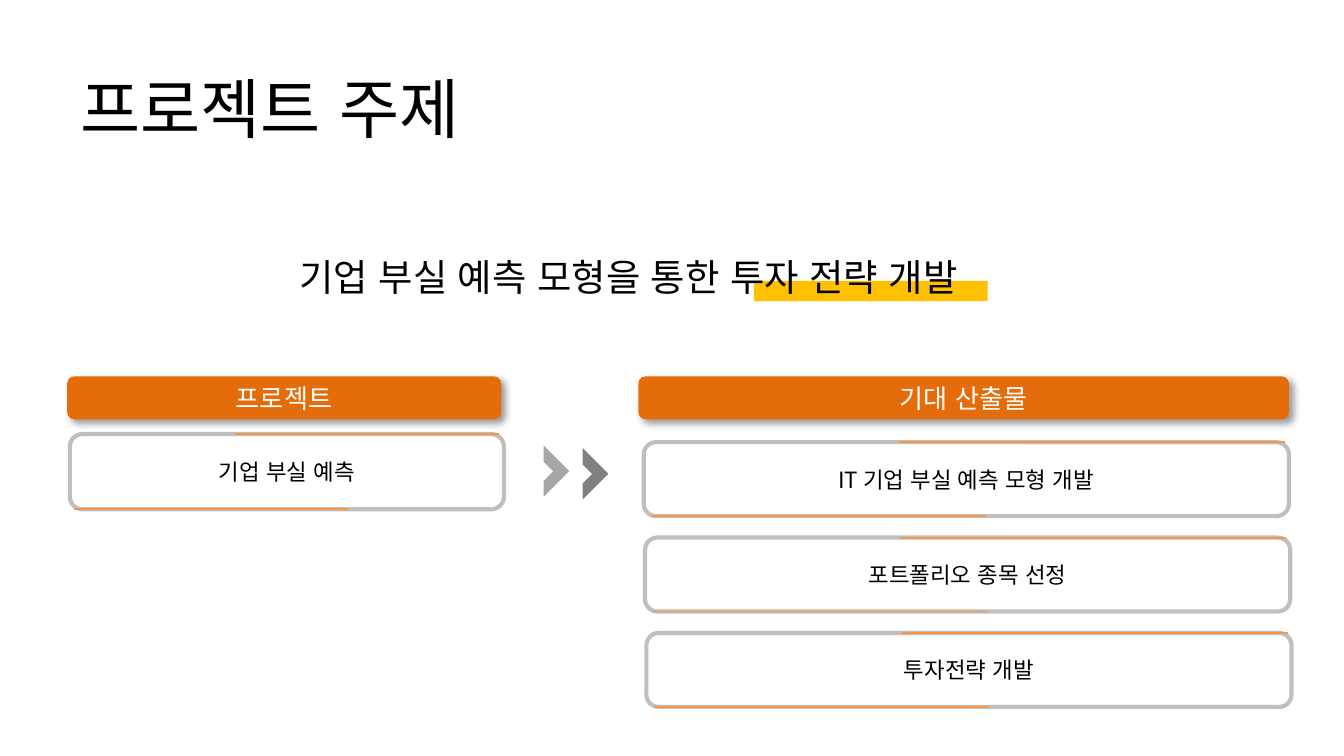
from dataclasses import dataclass

from lxml import etree
from pptx import Presentation
from pptx.dml.color import RGBColor
from pptx.enum.lang import MSO_LANGUAGE_ID
from pptx.enum.shapes import MSO_CONNECTOR, MSO_SHAPE
from pptx.enum.text import MSO_ANCHOR, MSO_AUTO_SIZE, PP_ALIGN
from pptx.oxml.ns import qn
from pptx.util import Inches, Pt

RECT, ROUND, HALF = MSO_SHAPE.RECTANGLE, MSO_SHAPE.ROUNDED_RECTANGLE, MSO_SHAPE.HALF_FRAME
STRAIGHT = MSO_CONNECTOR.STRAIGHT
LEFT, CENTER = PP_ALIGN.LEFT, PP_ALIGN.CENTER
TOP, MIDDLE = MSO_ANCHOR.TOP, MSO_ANCHOR.MIDDLE
FIT = MSO_AUTO_SIZE.SHAPE_TO_FIT_TEXT
KOREAN = MSO_LANGUAGE_ID.KOREAN


@dataclass(frozen=True)
class Theme:
    font: str = "Noto Sans CJK KR"
    ink: str = "000000"
    paper: str = "FFFFFF"
    mark: str = "FFC000"
    head: str = "E46C0A"
    edge: str = "BFBFBF"
    accent: str = "F79646"
    pale: str = "A6A6A6"
    dark: str = "808080"
    title_size: int = 35
    lead_size: int = 20
    head_size: int = 14
    card_size: int = 12


@dataclass(frozen=True)
class Box:
    x: float
    y: float
    w: float
    h: float

    def lengths(self) -> tuple:
        return tuple(Inches(v) for v in (self.x, self.y, self.w, self.h))


@dataclass(frozen=True)
class Card:
    """A framed label; top and base are accent spans measured from its left."""
    text: str
    box: Box
    top: tuple[float, float]
    base: tuple[float, float]


THEME = Theme()
HEADS = [("프로젝트", Box(0.5, 2.8, 3.23, 0.32)),
         ("기대 산출물", Box(4.75, 2.8, 4.84, 0.32))]
GOALS = ["IT 기업 부실 예측 모형 개발", "포트폴리오 종목 선정", "투자전략 개발"]
CARDS = [Card("기업 부실 예측", Box(0.52, 3.23, 3.23, 0.56), (1.23, 3.19), (0.03, 2.07))]
CARDS += [Card(goal, Box(4.79 + 0.01 * i, 3.29 + 0.71 * i, 4.8, 0.55), (1.9, 4.77), (0.06, 2.55))
          for i, goal in enumerate(GOALS)]
CHEVRONS = [(Box(3.91, 3.37, 0.27, 0.27), THEME.pale),
            (Box(4.2, 3.39, 0.27, 0.27), THEME.dark)]


def write(shape, text: str, *, size: int, color: str = THEME.ink,
          align=LEFT, anchor=MIDDLE) -> None:
    frame = shape.text_frame
    frame.word_wrap = True
    frame.vertical_anchor = anchor
    para = frame.paragraphs[0]
    para.alignment = align
    run = para.add_run()
    run.text = text
    font = run.font
    font.name = THEME.font
    font.size = Pt(size)
    font.color.rgb = RGBColor.from_string(color)
    font.language_id = KOREAN
    font._element.set("kern", "0")
    etree.SubElement(font._element, qn("a:ea"), typeface=THEME.font)


def add_block(slide, kind, box: Box, fill: str | None = None, edge: str | None = None):
    shape = slide.shapes.add_shape(kind, *box.lengths())
    shape.shadow.inherit = False
    if fill:
        shape.fill.solid()
        shape.fill.fore_color.rgb = RGBColor.from_string(fill)
    else:
        shape.fill.background()
    if edge:
        shape.line.color.rgb = RGBColor.from_string(edge)
        shape.line.width = Pt(2.25)
    else:
        shape.line.fill.background()
    return shape


def add_shade(shape) -> None:
    """Give the shape a soft shadow to the lower right."""
    effects = shape._element.spPr.find(qn("a:effectLst"))
    shade = etree.SubElement(effects, qn("a:outerShdw"), blurRad=str(Pt(4)), dist=str(Pt(3)),
                             dir=str(45 * 60000), algn="tl", rotWithShape="0")
    color = etree.SubElement(shade, qn("a:srgbClr"), val=THEME.ink)
    etree.SubElement(color, qn("a:alpha"), val="40000")


def add_rule(slide, start: float, end: float, y: float) -> None:
    rule = slide.shapes.add_connector(STRAIGHT, Inches(start), Inches(y), Inches(end), Inches(y))
    rule.line.color.rgb = RGBColor.from_string(THEME.accent)
    rule.line.width = Pt(1)
    etree.SubElement(rule._element.spPr, qn("a:effectLst"))


def add_card(slide, card: Card) -> None:
    box = card.box
    frame = add_block(slide, ROUND, box, edge=THEME.edge)
    write(frame, card.text, size=THEME.card_size, align=CENTER)
    for (start, end), y in ((card.top, box.y), (card.base, box.y + box.h)):
        add_rule(slide, box.x + start, box.x + end, y)


def add_head(slide, text: str, box: Box) -> None:
    head = add_block(slide, ROUND, box, THEME.head)
    add_shade(head)
    write(head, text, size=THEME.head_size, color=THEME.paper, align=CENTER)


def add_chevron(slide, box: Box, color: str) -> None:
    arrow = add_block(slide, HALF, box, color)
    arrow.rotation = 135
    arrow.adjustments[0] = 0.31
    arrow.adjustments[1] = 0.32


def main() -> None:
    deck = Presentation()
    deck.slide_width = Inches(10)
    deck.slide_height = deck.slide_width * 9 // 16
    slide = deck.slides.add_slide(deck.slide_layouts[6])

    add_block(slide, RECT, Box(5.61, 2.09, 1.74, 0.15), THEME.mark)
    lead = slide.shapes.add_textbox(*Box(2.13, 1.79, 6.29, 0.54).lengths())
    write(lead, "기업 부실 예측 모형을 통한 투자 전략 개발", size=THEME.lead_size, anchor=TOP)
    lead.text_frame.margin_top = lead.text_frame.margin_bottom = Inches(0.1)
    lead.text_frame.auto_size = FIT
    title = slide.shapes.add_textbox(*Box(0.5, 0.44, 9, 0.72).lengths())
    write(title, "프로젝트 주제", size=THEME.title_size)

    for text, box in HEADS:
        add_head(slide, text, box)
    for card in CARDS:
        add_card(slide, card)
    for box, color in CHEVRONS:
        add_chevron(slide, box, color)

    deck.save("out.pptx")


if __name__ == "__main__":
    main()
